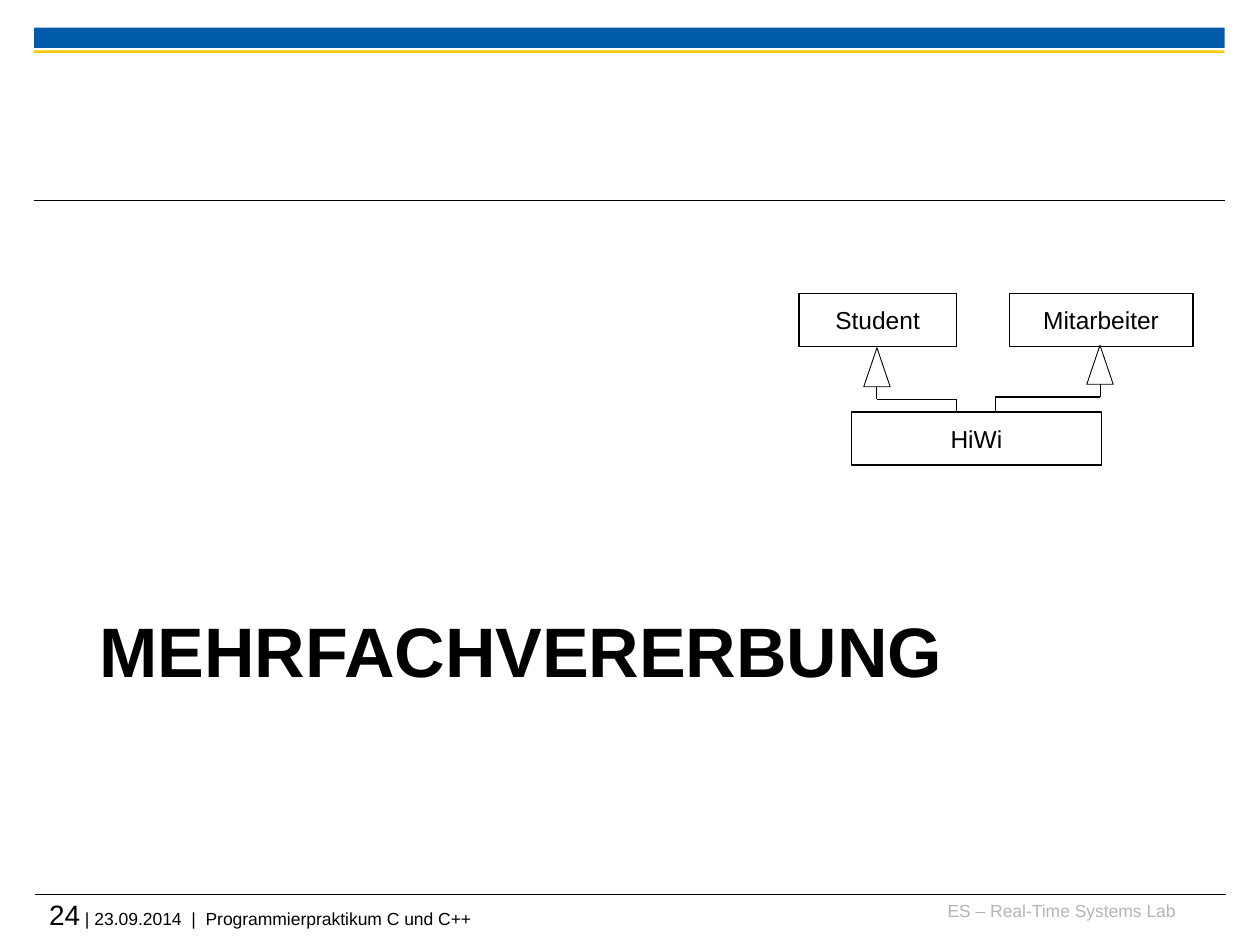
from typing import Any, NamedTuple

import pptx
import pptx.dml.color
import pptx.enum.shapes
import pptx.enum.text
import pptx.oxml
import pptx.util

Inches = pptx.util.Inches
Shapes = pptx.enum.shapes.MSO_SHAPE
Align = pptx.enum.text.PP_ALIGN
Anchor = pptx.enum.text.MSO_ANCHOR

COLORS = {
    "black": "000000",
    "white": "FFFFFF",
    "blue": "005AA9",
    "yellow": "FDCA00",
    "gray": "B5B5B5",
}


class Box(NamedTuple):
    left: float
    top: float
    width: float
    height: float


class ClassBox(NamedTuple):
    name: str
    box: Box


class Inheritance(NamedTuple):
    parent_x: float
    child_x: float
    arrow_top: float


BARS = [
    (Box(0.27, 0.22, 9.45, 0.16), "blue"),
    (Box(0.27, 0.4, 9.45, 0.02), "yellow"),
]
RULES = [(0.27, 1.59), (0.28, 7.1)]
RULE_LENGTH = 9.45

CHILD_TOP = 3.27
CLASSES = [
    ClassBox("HiWi", Box(6.76, CHILD_TOP, 1.98, 0.42)),
    ClassBox("Student", Box(6.34, 2.33, 1.25, 0.42)),
    ClassBox("Mitarbeiter", Box(8.01, 2.33, 1.46, 0.42)),
]
INHERITANCES = [Inheritance(6.96, 7.59, 2.76), Inheritance(8.73, 7.9, 2.74)]
ARROW_WIDTH, ARROW_HEIGHT, STEM = 0.21, 0.31, 0.1


def color(name: str) -> pptx.dml.color.RGBColor:
    return pptx.dml.color.RGBColor.from_string(COLORS[name])


def set_values(target: Any, values: dict[str, Any]) -> None:
    for name, value in values.items():
        setattr(target, name, value)


def add_run(paragraph: Any, text: str, size: float, color_name: str = "black",
            bold: bool = False) -> None:
    run = paragraph.add_run()
    run.text = text
    set_values(run.font, {"name": "Arial", "size": pptx.util.Pt(size), "bold": bold})
    run.font.color.rgb = color(color_name)


def format_frame(frame: Any, anchor: Any = Anchor.TOP, wrap: bool = True) -> None:
    set_values(frame, {
        "margin_left": 0, "margin_right": 0, "margin_top": 0, "margin_bottom": 0,
        "vertical_anchor": anchor, "word_wrap": wrap,
        "auto_size": pptx.enum.text.MSO_AUTO_SIZE.NONE,
    })


def add_shape(shapes: Any, kind: Any, box: Box, fill: str, line_width: float = 0) -> Any:
    shape = shapes.add_shape(kind, *map(Inches, box))
    shape.shadow.inherit = False
    shape.fill.solid()
    shape.fill.fore_color.rgb = color(fill)
    if line_width:
        shape.line.color.rgb = color("black")
        shape.line.width = pptx.util.Pt(line_width)
    else:
        shape.line.fill.background()
    return shape


def add_line(shapes: Any, start: tuple[float, float], end: tuple[float, float],
             width: float) -> None:
    line = shapes.add_connector(pptx.enum.shapes.MSO_CONNECTOR.STRAIGHT,
                                *map(Inches, start + end))
    line.line.color.rgb = color("black")
    line.line.width = pptx.util.Pt(width)
    properties = line.element.spPr
    properties.append(properties.makeelement(pptx.oxml.ns.qn("a:effectLst"), {}))


def add_text(shapes: Any, box: Box) -> Any:
    frame = shapes.add_textbox(*map(Inches, box)).text_frame
    format_frame(frame)
    return frame.paragraphs[0]


def add_class(shapes: Any, item: ClassBox) -> None:
    shape = add_shape(shapes, Shapes.RECTANGLE, item.box, "white", 0.75)
    format_frame(shape.text_frame, Anchor.MIDDLE, wrap=False)
    paragraph = shape.text_frame.paragraphs[0]
    paragraph.alignment = Align.CENTER
    add_run(paragraph, item.name, 14)


def add_inheritance(shapes: Any, item: Inheritance) -> None:
    arrow = Box(item.parent_x - ARROW_WIDTH / 2, item.arrow_top, ARROW_WIDTH, ARROW_HEIGHT)
    add_shape(shapes, Shapes.ISOSCELES_TRIANGLE, arrow, "white", 0.5)
    stem_top = item.arrow_top + ARROW_HEIGHT
    bend = stem_top + STEM
    add_line(shapes, (item.parent_x, stem_top), (item.parent_x, bend), 0.5)
    add_line(shapes, (item.parent_x, bend), (item.child_x, bend), 0.75)
    add_line(shapes, (item.child_x, bend), (item.child_x, CHILD_TOP), 0.75)


def main() -> None:
    presentation = pptx.Presentation()
    set_values(presentation, {"slide_width": Inches(10), "slide_height": Inches(7.5)})
    slide = presentation.slides.add_slide(presentation.slide_layouts[5])
    shapes = slide.shapes

    # Header bars and rules
    for box, fill in BARS:
        add_shape(shapes, Shapes.RECTANGLE, box, fill)
    for left, top in RULES:
        add_line(shapes, (left, top), (left + RULE_LENGTH, top), 0.6)

    # Footer
    lab = add_text(shapes, Box(7.36, 7.14, 1.97, 0.25))
    lab.alignment = Align.RIGHT
    add_run(lab, "ES – Real-Time Systems Lab", 10, "gray")
    footer = add_text(shapes, Box(0.39, 7.12, 9.33, 0.33))
    add_run(footer, "24", 16)
    add_run(footer, " | 23.09.2014  |  Programmierpraktikum C und C++", 10)

    # Title
    title = shapes.title
    set_values(title, {"left": Inches(0.79), "top": Inches(4.82),
                       "width": Inches(8.5), "height": Inches(1.49)})
    format_frame(title.text_frame)
    heading = title.text_frame.paragraphs[0]
    heading.alignment = Align.LEFT
    add_run(heading, "MEHRFACHVERERBUNG", 40, bold=True)

    # Class diagram
    diagram = shapes.add_group_shape().shapes
    for class_box in CLASSES:
        add_class(diagram, class_box)
    for inheritance in INHERITANCES:
        add_inheritance(diagram, inheritance)

    presentation.save("out.pptx")


if __name__ == "__main__":
    main()
